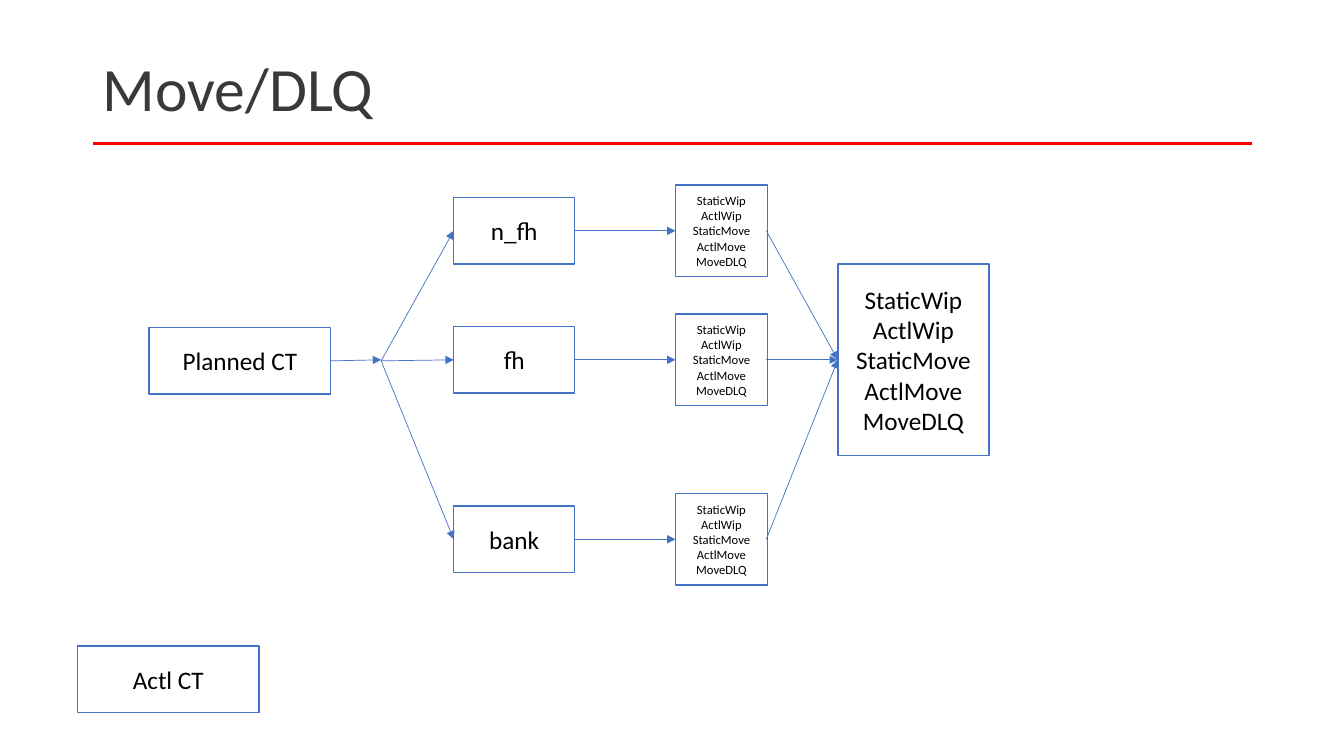
"""Build the Move/DLQ flow slide."""
import pptx
import pptx.dml.color
import pptx.enum.shapes
import pptx.enum.text
import pptx.oxml
import pptx.oxml.ns
import pptx.util

Inches = pptx.util.Inches
COLORS = {"rule": "FF0000", "title": "3B3838", "outline": "4472C4", "box": "FFFFFF", "text": "000000"}
RGB = {name: pptx.dml.color.RGBColor.from_string(value) for name, value in COLORS.items()}
MEASURES = ["StaticWip", "ActlWip", "StaticMove", "ActlMove", "MoveDLQ"]

presentation = pptx.Presentation()
presentation.slide_width = Inches(13.33)
presentation.slide_height = Inches(7.5)
slide = presentation.slides.add_slide(presentation.slide_layouts[6])


def add_line(start, end, color="outline", width=0.5, arrow=True):
    ends = [Inches(value) for value in (*start, *end)]
    connector = slide.shapes.add_connector(pptx.enum.shapes.MSO_CONNECTOR.STRAIGHT, *ends)
    connector.line.color.rgb = RGB[color]
    connector.line.width = pptx.util.Pt(width)
    if arrow:
        tail = pptx.oxml.parse_xml(f'<a:tailEnd {pptx.oxml.ns.nsdecls("a")} type="triangle"/>')
        connector.line._get_or_add_ln().append(tail)
    effects = pptx.oxml.parse_xml(f'<a:effectLst {pptx.oxml.ns.nsdecls("a")}/>')
    connector._element.spPr.append(effects)


def add_box(left, top, width, height, lines, size=18):
    place = [Inches(value) for value in (left, top, width, height)]
    shape = slide.shapes.add_shape(pptx.enum.shapes.MSO_SHAPE.RECTANGLE, *place)
    shape.shadow.inherit = False
    shape.fill.solid()
    shape.fill.fore_color.rgb = RGB["box"]
    shape.line.color.rgb = RGB["outline"]
    shape.line.width = pptx.util.Pt(1)
    shape.text_frame.text = "\n".join(lines)
    shape.text_frame.word_wrap = True
    shape.text_frame.vertical_anchor = pptx.enum.text.MSO_ANCHOR.MIDDLE
    text_format = {"name": "Calibri", "size": pptx.util.Pt(size)}
    for paragraph in shape.text_frame.paragraphs:
        paragraph.alignment = pptx.enum.text.PP_ALIGN.CENTER
        paragraph.font.color.rgb = RGB["text"]
        for attribute, value in text_format.items():
            setattr(paragraph.font, attribute, value)


add_line((0.92, 1.42), (12.42, 1.42), "rule", 2.25, arrow=False)

title = slide.shapes.add_textbox(Inches(0.92), Inches(0.4), Inches(11.5), Inches(1.02))
title.text_frame.word_wrap = True
title.text_frame.vertical_anchor = pptx.enum.text.MSO_ANCHOR.MIDDLE
title_paragraph = title.text_frame.paragraphs[0]
title_paragraph.text = "Move/DLQ"
title_paragraph.line_spacing = 0.9
title_paragraph.font.color.rgb = RGB["title"]
title_format = {"name": "Calibri", "size": pptx.util.Pt(44)}
for attribute, value in title_format.items():
    setattr(title_paragraph.font, attribute, value)

box_height = 0.66
measure_side = 0.91
branch_point = (3.78, 3.58)
total_entry = (8.31, 3.57)

add_box(1.48, 3.25, 1.8, box_height, ["Planned CT"])
add_box(0.77, 6.41, 1.8, box_height, ["Actl CT"])
add_box(8.31, 2.62, 1.5, 1.9, MEASURES)
add_line((3.28, 3.58), (3.78, 3.57))

for stage, middle in {"n_fh": 2.29, "fh": 3.57, "bank": 5.35}.items():
    add_box(4.5, middle - box_height / 2, 1.2, box_height, [stage])
    add_box(6.7, middle - measure_side / 2, measure_side, measure_side, MEASURES, 9)
    add_line(branch_point, (4.5, middle))
    add_line((5.7, middle), (6.7, middle))
    add_line((7.6, middle), total_entry)

presentation.save("out.pptx")
